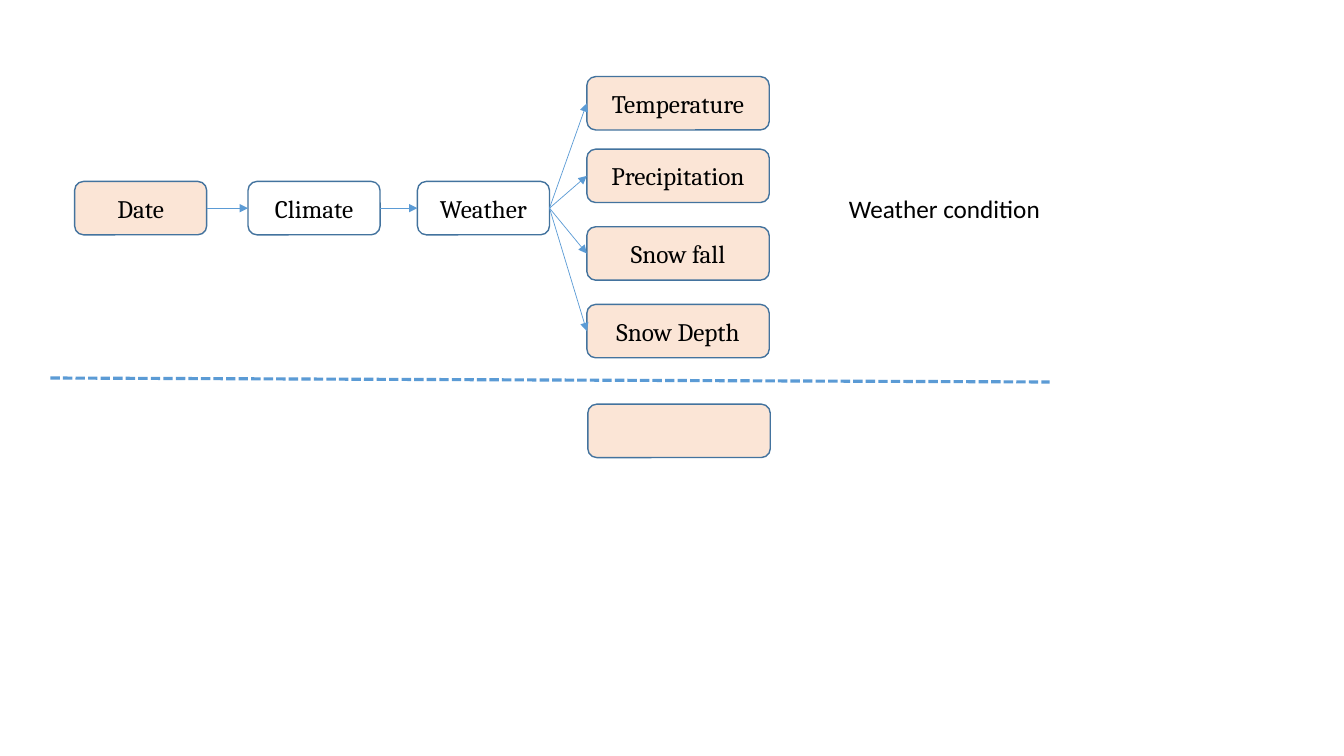
from pptx import Presentation
from pptx.dml.color import RGBColor
from pptx.enum.dml import MSO_LINE
from pptx.enum.shapes import MSO_CONNECTOR, MSO_SHAPE
from pptx.enum.text import MSO_ANCHOR, MSO_AUTO_SIZE, PP_ALIGN
from pptx.oxml.ns import qn
from pptx.util import Pt
from lxml import etree

EMU_PER_PX = 9144  # 100 px to the inch
PEACH = RGBColor(0xFB, 0xE5, 0xD6)
OUTLINE = RGBColor(0x43, 0x73, 0x9E)
BLUE = RGBColor(0x5B, 0x9B, 0xD5)
BLACK = RGBColor(0, 0, 0)

ROUNDED = MSO_SHAPE.ROUNDED_RECTANGLE
STRAIGHT = MSO_CONNECTOR.STRAIGHT
DASHED = MSO_LINE.SQUARE_DOT
CENTER = PP_ALIGN.CENTER
MIDDLE = MSO_ANCHOR.MIDDLE
GROW = MSO_AUTO_SIZE.SHAPE_TO_FIT_TEXT
LEFT_SITE, RIGHT_SITE = 1, 3

BOX_HEIGHT = 53
STEP_WIDTH, STEP_TOP = 131, 180
MEASURE_WIDTH, MEASURE_LEFT = 181, 582


def px(*lengths):
    return [length * EMU_PER_PX for length in lengths]


class SlideBuilder:
    box_font = {"name": "Cambria", "size": Pt(18)}
    label_font = {"name": "Calibri", "size": Pt(18)}

    def __init__(self, slide):
        self.shapes = slide.shapes

    def add_text(self, frame, text, font):
        span = frame.paragraphs[0].add_run()
        span.text = text
        for name, value in font.items():
            setattr(span.font, name, value)
        span.font.color.rgb = BLACK

    def box(self, left, top, width, text="", fill=None):
        box = self.shapes.add_shape(ROUNDED, *px(left, top, width, BOX_HEIGHT))
        box.shadow.inherit = False
        if fill is None:
            box.fill.background()
        else:
            box.fill.solid()
            box.fill.fore_color.rgb = fill
        box.line.color.rgb = OUTLINE
        box.line.width = Pt(1)
        if text:
            box.text_frame.vertical_anchor = MIDDLE
            box.text_frame.paragraphs[0].alignment = CENTER
            self.add_text(box.text_frame, text, self.box_font)
        return box

    def line(self, start, end, width):
        line = self.shapes.add_connector(STRAIGHT, *px(*start, *end))
        line.line.color.rgb = BLUE
        line.line.width = Pt(width)
        etree.SubElement(line._element.spPr, qn("a:effectLst"))
        return line

    def arrow(self, source, target):
        """Join the right side of source to the left side of target."""
        arrow = self.line((0, 0), (0, 0), 0.5)
        arrow.begin_connect(source, RIGHT_SITE)
        arrow.end_connect(target, LEFT_SITE)
        outline = arrow._element.spPr.find(qn("a:ln"))
        etree.SubElement(outline, qn("a:tailEnd"), type="triangle")

    def label(self, left, top, width, height, text):
        label = self.shapes.add_textbox(*px(left, top, width, height))
        label.text_frame.word_wrap = True
        label.text_frame.auto_size = GROW
        self.add_text(label.text_frame, text, self.label_font)


def main():
    deck = Presentation()
    deck.slide_width, deck.slide_height = px(1333, 750)
    page = SlideBuilder(deck.slides.add_slide(deck.slide_layouts[6]))

    steps = [
        page.box(left, STEP_TOP, STEP_WIDTH, text, fill)
        for left, text, fill in [
            (74, "Date", PEACH),
            (246, "Climate", None),
            (414, "Weather", None),
        ]
    ]
    measures = [
        page.box(MEASURE_LEFT, top, MEASURE_WIDTH, text, PEACH)
        for top, text in [
            (76, "Temperature"),
            (148, "Precipitation"),
            (225, "Snow fall"),
            (302, "Snow Depth"),
        ]
    ]
    for source, target in zip(steps, steps[1:]):
        page.arrow(source, target)
    for measure in measures:
        page.arrow(steps[-1], measure)

    divider = page.line((50, 375), (1041, 379), 2.25)
    divider.line.dash_style = DASHED
    page.label(832, 187, 241, 40, "Weather condition")
    page.box(MEASURE_LEFT + 1, 401, MEASURE_WIDTH, fill=PEACH)

    deck.save("out.pptx")


if __name__ == "__main__":
    main()
